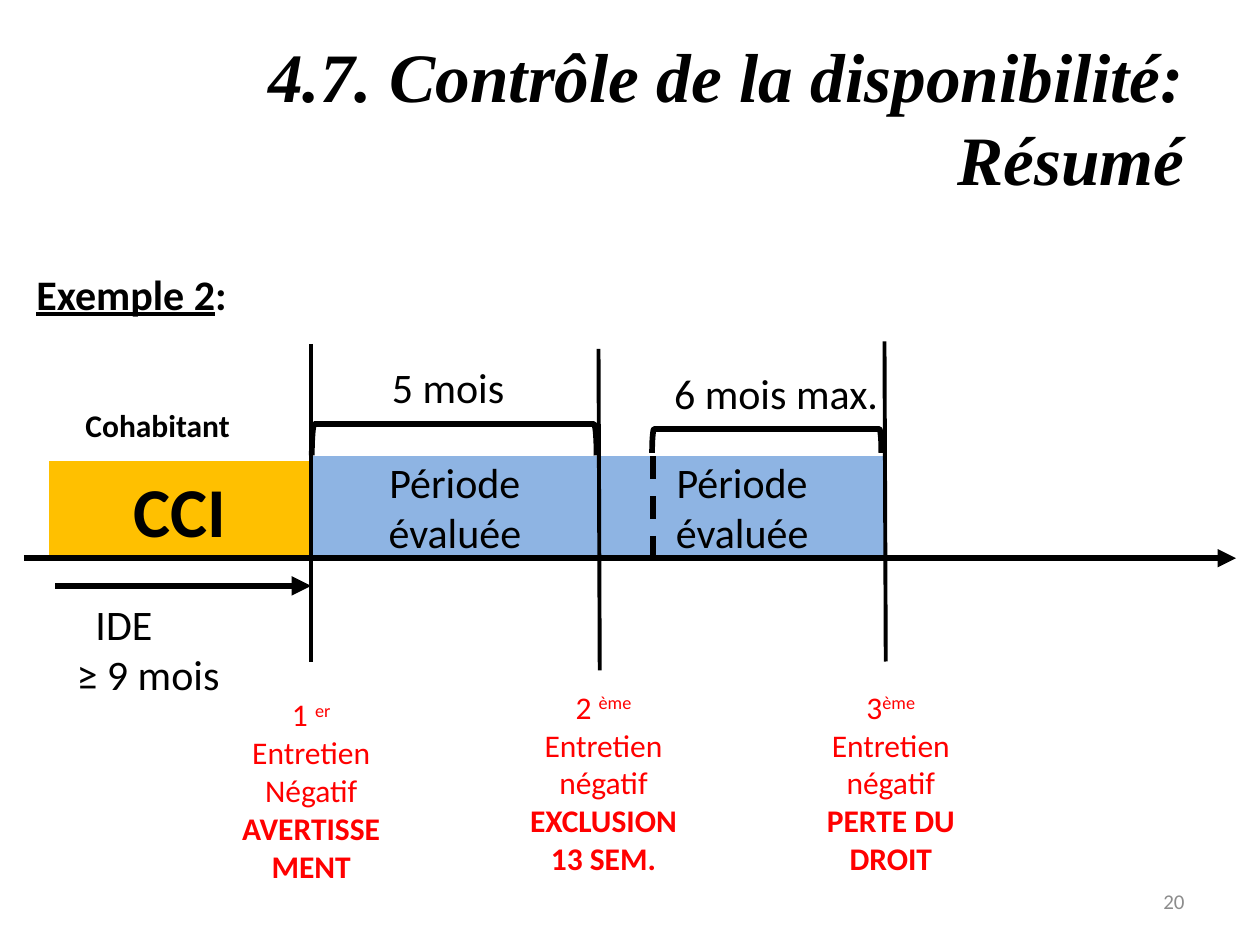
import pptx
import pptx.util
import pptx.dml.color
import pptx.enum.dml
import pptx.enum.shapes
import pptx.enum.text
import pptx.oxml.ns
from lxml import etree
from pptx.util import Inches

BLACK = pptx.dml.color.RGBColor(0x00, 0x00, 0x00)
RED = pptx.dml.color.RGBColor(0xFF, 0x00, 0x00)
BLUE = pptx.dml.color.RGBColor(0x8E, 0xB4, 0xE3)
AMBER = pptx.dml.color.RGBColor(0xFF, 0xC0, 0x00)
GREY = pptx.dml.color.RGBColor(0x8C, 0x8C, 0x8C)
ALIGN = pptx.enum.text.PP_ALIGN
ANCHOR = pptx.enum.text.MSO_ANCHOR
SHAPE = pptx.enum.shapes.MSO_SHAPE
qn = pptx.oxml.ns.qn

presentation = pptx.Presentation()
presentation.slide_width = Inches(10)
presentation.slide_height = Inches(7.5)
slide = presentation.slides.add_slide(presentation.slide_layouts[6])
shapes = slide.shapes


def write(frame, lines, size, color=BLACK, align=ALIGN.LEFT, bold=False, font="Calibri"):
    frame.word_wrap = True
    for index, line in enumerate(lines):
        paragraph = frame.paragraphs[0] if index == 0 else frame.add_paragraph()
        paragraph.alignment = align
        paragraph.font.name = font
        paragraph.font.size = pptx.util.Pt(size)
        paragraph.font.color.rgb = color
        paragraph.font.bold = bold
        for text in [line] if isinstance(line, str) else line:
            paragraph.add_run().text = text
    return frame


def draw_line(x1, y1, x2, y2, width, arrow=False):
    line = shapes.add_connector(
        pptx.enum.shapes.MSO_CONNECTOR.STRAIGHT, Inches(x1), Inches(y1), Inches(x2), Inches(y2))
    line.line.color.rgb = BLACK
    line.line.width = pptx.util.Pt(width)
    if arrow:
        etree.SubElement(line.line._get_or_add_ln(), qn("a:tailEnd"), type="triangle")
    etree.SubElement(line._element.spPr, qn("a:effectLst"))
    return line


for left, top, width, height, fill, label, size, bold in [
    (2.47, 3.62, 2.28, 0.8, BLUE, "Période évaluée", 24, False),
    (4.75, 3.62, 2.28, 0.8, BLUE, "Période évaluée", 24, False),
    (0.39, 3.66, 2.07, 0.77, AMBER, "CCI", 40, True),
]:
    period = shapes.add_shape(SHAPE.RECTANGLE, Inches(left), Inches(top), Inches(width), Inches(height))
    period.shadow.inherit = False
    period.fill.solid()
    period.fill.fore_color.rgb = fill
    period.line.fill.background()
    write(period.text_frame, [label], size, align=ALIGN.CENTER, bold=bold)

for left, top, width, height in [(3.48, 2.36, 0.25, 2.26), (5.99, 2.59, 0.19, 1.82)]:
    bracket = shapes.add_shape(
        SHAPE.RIGHT_BRACKET, Inches(left), Inches(top), Inches(width), Inches(height))
    bracket.rotation = 270
    bracket.shadow.inherit = False
    bracket.fill.background()
    bracket.line.color.rgb = BLACK
    bracket.line.width = pptx.util.Pt(3.25)

draw_line(0.19, 4.43, 9.81, 4.43, 3.5, arrow=True)
draw_line(0.44, 4.65, 2.47, 4.65, 3.75, arrow=True)
for x1, y1, x2, y2 in [(2.47, 2.73, 2.47, 5.25), (4.75, 2.77, 4.76, 5.32), (7.02, 2.71, 7.03, 5.25)]:
    draw_line(x1, y1, x2, y2, 2.25)
evaluation_start = draw_line(5.18, 3.62, 5.18, 4.43, 3.25)
evaluation_start.line.dash_style = pptx.enum.dml.MSO_LINE.DASH

title = shapes.add_textbox(Inches(0.5), Inches(0.3), Inches(9), Inches(1.25)).text_frame
title.vertical_anchor = ANCHOR.MIDDLE
write(title, ["4.7. Contrôle de la disponibilité: Résumé"], 39.6,
      align=ALIGN.RIGHT, bold=True, font="Times New Roman")
title.paragraphs[0].font.italic = True

example = shapes.add_textbox(Inches(0.19), Inches(2.08), Inches(2.46), Inches(0.5)).text_frame
write(example, [["Exemple 2", ":"]], 24, bold=True)
example.paragraphs[0].runs[0].font.underline = True

status = shapes.add_textbox(Inches(0.58), Inches(3.17), Inches(1.76), Inches(0.4)).text_frame
write(status, ["Cohabitant"], 18, bold=True)

first_duration = shapes.add_textbox(Inches(2.91), Inches(2.72), Inches(1.9), Inches(0.64)).text_frame
first_duration.margin_left = Inches(0.2)
first_duration.margin_top = Inches(0.15)
write(first_duration, ["5 mois"], 24)

second_duration = shapes.add_textbox(Inches(5.17), Inches(2.87), Inches(2.54), Inches(0.5)).text_frame
second_duration.margin_left = Inches(0.18)
write(second_duration, ["6 mois max."], 24)

ide = shapes.add_textbox(Inches(0.51), Inches(4.7), Inches(1.63), Inches(0.91)).text_frame
write(ide, ["IDE", "≥ 9 mois"], 24)
ide.paragraphs[0]._p.get_or_add_pPr().set("marL", str(Inches(0.15)))

for left, top, width, height, number, suffix, result, outcome in [
    (1.82, 5.47, 1.3, 1.62, "1 ", "er", " Entretien Négatif", "AVERTISSEMENT"),
    (4.09, 5.41, 1.4, 1.92, "2 ", "ème", " Entretien négatif", "EXCLUSION 13 SEM."),
    (6.36, 5.41, 1.42, 1.62, "3", "ème", " Entretien négatif", "PERTE DU DROIT"),
]:
    interview = shapes.add_textbox(Inches(left), Inches(top), Inches(width), Inches(height)).text_frame
    write(interview, [[number, suffix, result], outcome], 18, RED, ALIGN.CENTER)
    interview.paragraphs[0].runs[1].font._element.set("baseline", "30000")
    interview.paragraphs[1].font.bold = True

page_number = shapes.add_textbox(Inches(7.17), Inches(6.95), Inches(2.33), Inches(0.4)).text_frame
page_number.vertical_anchor = ANCHOR.MIDDLE
write(page_number, ["20"], 12, GREY, ALIGN.RIGHT)

presentation.save("out.pptx")
